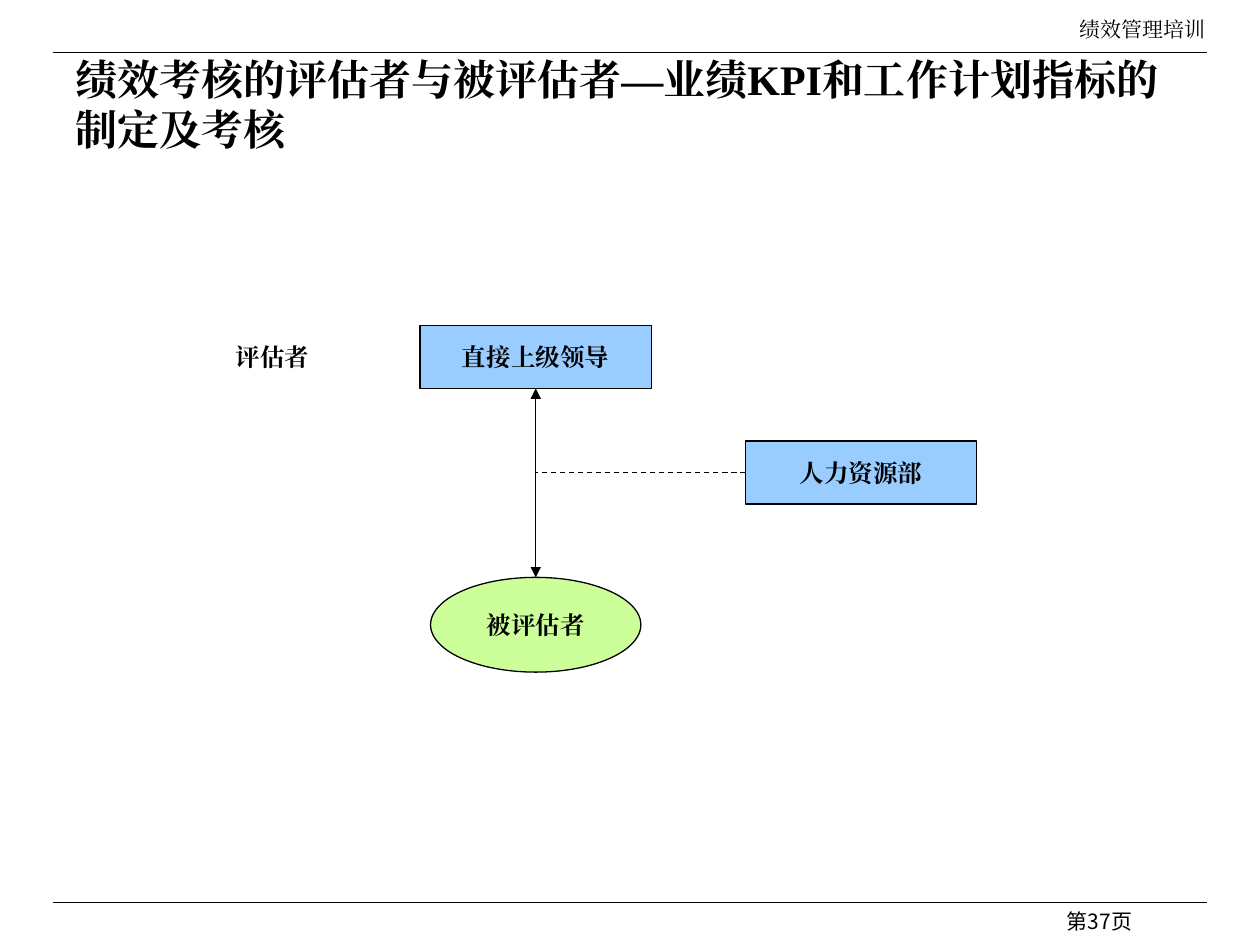
from typing import NamedTuple

from lxml.etree import SubElement
from pptx import Presentation
from pptx.dml.color import RGBColor
from pptx.enum.dml import MSO_LINE
from pptx.enum.shapes import MSO_CONNECTOR, MSO_SHAPE
from pptx.enum.text import MSO_ANCHOR, PP_ALIGN
from pptx.oxml.ns import qn
from pptx.util import Cm, Pt

COLORS = {"ink": "000000", "evaluator": "99CCFF", "evaluated": "CCFF99"}
SERIF = "Times New Roman"
SANS = "Noto Sans CJK SC"
LINE_WIDTH = Pt(0.75)


class Box(NamedTuple):
    """Position and size in centimetres."""
    left: float
    top: float
    width: float
    height: float

    @property
    def center(self) -> float:
        return self.left + self.width / 2

    @property
    def middle(self) -> float:
        return self.top + self.height / 2

    @property
    def bottom(self) -> float:
        return self.top + self.height

    def lengths(self) -> list:
        return [Cm(value) for value in self]


class Role(NamedTuple):
    text: str
    box: Box
    outline: MSO_SHAPE
    fill: str


class Label(NamedTuple):
    text: str
    box: Box
    size: float
    bold: bool = False
    font: str = SERIF
    align: PP_ALIGN = PP_ALIGN.LEFT
    anchor: MSO_ANCHOR = MSO_ANCHOR.TOP


class Link(NamedTuple):
    start: tuple
    end: tuple
    dashed: bool = False
    arrows: bool = False


def color(name: str) -> RGBColor:
    return RGBColor.from_string(COLORS[name])


def write(frame, text: str, *, size: float, bold: bool = False, font: str = SERIF,
          align=PP_ALIGN.LEFT, anchor=MSO_ANCHOR.TOP, wrap: bool = True) -> None:
    frame.word_wrap = wrap
    frame.vertical_anchor = anchor
    paragraph = frame.paragraphs[0]
    paragraph.alignment = align
    run = paragraph.add_run()
    run.text = text
    run.font.size = Pt(size)
    run.font.bold = bold
    run.font.name = font
    run.font.color.rgb = color("ink")
    SubElement(run.font._element, qn("a:ea"), typeface=font)


def draw_label(slide, label: Label) -> None:
    textbox = slide.shapes.add_textbox(*label.box.lengths())
    write(textbox.text_frame, label.text, size=label.size, bold=label.bold,
          font=label.font, align=label.align, anchor=label.anchor)


def draw_role(slide, role: Role) -> None:
    shape = slide.shapes.add_shape(role.outline, *role.box.lengths())
    shape.shadow.inherit = False
    shape.fill.solid()
    shape.fill.fore_color.rgb = color(role.fill)
    shape.line.color.rgb = color("ink")
    shape.line.width = LINE_WIDTH
    write(shape.text_frame, role.text, size=14, bold=True,
          align=PP_ALIGN.CENTER, anchor=MSO_ANCHOR.MIDDLE, wrap=False)


def draw_link(slide, link: Link) -> None:
    ends = [Cm(value) for value in (*link.start, *link.end)]
    connector = slide.shapes.add_connector(MSO_CONNECTOR.STRAIGHT, *ends)
    connector.line.color.rgb = color("ink")
    connector.line.width = LINE_WIDTH
    if link.dashed:
        connector.line.dash_style = MSO_LINE.DASH
    if link.arrows:
        for end in ("a:headEnd", "a:tailEnd"):
            SubElement(connector.line._get_or_add_ln(), qn(end), type="triangle")
    SubElement(connector._element.spPr, qn("a:effectLst"))


SUPERVISOR = Role("直接上级领导", Box(8.47, 6.56, 4.66, 1.27), MSO_SHAPE.RECTANGLE, "evaluator")
HR = Role("人力资源部", Box(15.03, 8.89, 4.66, 1.27), MSO_SHAPE.RECTANGLE, "evaluator")
EMPLOYEE = Role("被评估者", Box(8.68, 11.64, 4.24, 1.91), MSO_SHAPE.OVAL, "evaluated")
AXIS = SUPERVISOR.box.center

LABELS = [
    Label("第37页", Box(17.78, 18.2, 5.29, 0.42), 12, font=SANS, align=PP_ALIGN.RIGHT),
    Label("绩效管理培训", Box(12.7, 0.21, 11.85, 0.76), 12, align=PP_ALIGN.RIGHT),
    Label("绩效考核的评估者与被评估者—业绩KPI和工作计划指标的制定及考核",
          Box(1.27, 0.95, 22.65, 2.29), 24, bold=True, anchor=MSO_ANCHOR.MIDDLE),
    Label("评估者", Box(4.02, 6.77, 2.96, 0.86), 14, bold=True, align=PP_ALIGN.CENTER),
]
RULES = [Link((1.06, y), (24.34, y)) for y in (1.06, 18.2)]
LINKS = [
    Link((AXIS, SUPERVISOR.box.bottom), (AXIS, EMPLOYEE.box.top), arrows=True),
    Link((HR.box.left, HR.box.middle), (AXIS, HR.box.middle), dashed=True),
]


def main() -> None:
    deck = Presentation()
    deck.slide_width, deck.slide_height = Cm(25.4), Cm(19.05)
    slide = deck.slides.add_slide(deck.slide_layouts[6])
    for label in LABELS:
        draw_label(slide, label)
    for role in (SUPERVISOR, HR, EMPLOYEE):
        draw_role(slide, role)
    for link in RULES + LINKS:
        draw_link(slide, link)
    deck.save("out.pptx")


if __name__ == "__main__":
    main()
